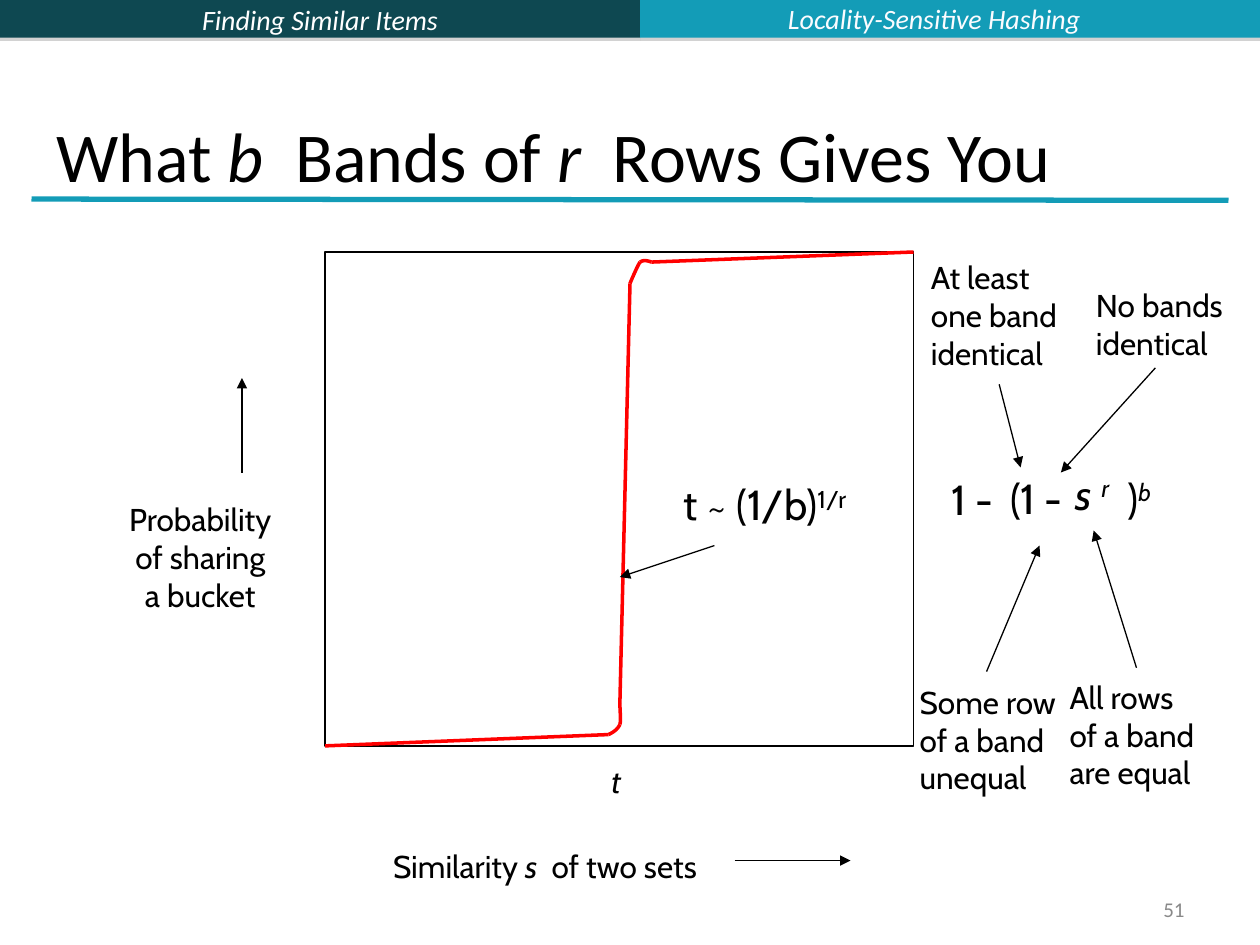
from dataclasses import dataclass

from lxml import etree
from pptx import Presentation
from pptx import util as u
from pptx.dml.color import RGBColor
from pptx.enum import shapes, text
from pptx.oxml.ns import qn

PX = 9144
LEFT, CENTER, RIGHT = text.PP_ALIGN.LEFT, text.PP_ALIGN.CENTER, text.PP_ALIGN.RIGHT
TOP, MIDDLE, BOTTOM = text.MSO_ANCHOR.TOP, text.MSO_ANCHOR.MIDDLE, text.MSO_ANCHOR.BOTTOM


@dataclass(frozen=True)
class Theme:
    ink: str = "000000"
    dark: str = "0E4851"
    accent: str = "139CB7"
    curve: str = "FF0000"
    light: str = "FFFFFF"
    topic: str = "FBFCFF"
    muted: str = "898989"
    shadow: str = "808080"
    heading: str = "Calibri"
    body: str = "Cabin"
    title_size: int = 40
    formula_size: int = 24
    label_size: int = 18
    header_size: int = 16
    number_size: int = 12
    thin: float = 0.75
    bold: float = 2
    rule: float = 3


def add_run(paragraph, content, *, font, size, color, italic=False, raised=False):
    run = paragraph.add_run()
    run.text = content
    run.font.name = font
    run.font.size = u.Pt(size)
    run.font.color.rgb = RGBColor.from_string(color)
    run.font.italic = italic
    if raised:
        run._r.get_or_add_rPr().set("baseline", "30000")


def cubic(start, first, second, end, steps=12):
    for step in range(steps + 1):
        t = step / steps
        weights = ((1 - t) ** 3, 3 * t * (1 - t) ** 2, 3 * t * t * (1 - t), t ** 3)
        yield tuple(
            round(PX * sum(w * c for w, c in zip(weights, axis)))
            for axis in zip(start, first, second, end)
        )


class Board:
    def __init__(self, slide, theme):
        self.slide = slide
        self.theme = theme

    def rect(self, box, fill=None, shadow=False):
        rect = self.slide.shapes.add_shape(
            shapes.MSO_SHAPE.RECTANGLE, *(v * PX for v in box))
        rect.shadow.inherit = False
        if fill:
            rect.fill.solid()
            rect.fill.fore_color.rgb = RGBColor.from_string(fill)
            rect.line.fill.background()
        else:
            rect.fill.background()
            self.stroke(rect, self.theme.ink, self.theme.thin)
        if shadow:
            effects = rect._element.spPr.find(qn("a:effectLst"))
            outer = etree.SubElement(effects, qn("a:outerShdw"), blurRad="0",
                                     dist="22860", dir="5400000", rotWithShape="0")
            tint = etree.SubElement(outer, qn("a:srgbClr"), val=self.theme.shadow)
            etree.SubElement(tint, qn("a:alpha"), val="35000")
        return rect

    def stroke(self, shape, color, width):
        shape.line.color.rgb = RGBColor.from_string(color)
        shape.line.width = u.Pt(width)

    def line(self, start, end, color, width):
        line = self.slide.shapes.add_connector(
            shapes.MSO_CONNECTOR.STRAIGHT, *(v * PX for v in start + end))
        self.stroke(line, color, width)
        etree.SubElement(line._element.spPr, qn("a:effectLst"))
        return line

    def arrow(self, start, end):
        arrow = self.line(start, end, self.theme.ink, self.theme.thin)
        outline = arrow._element.spPr.find(qn("a:ln"))
        etree.SubElement(outline, qn("a:tailEnd"), type="triangle")

    def bend(self, *controls):
        first, *rest = cubic(*controls)
        builder = self.slide.shapes.build_freeform(*first, scale=1.0)
        builder.add_line_segments(rest, close=False)
        bend = builder.convert_to_shape()
        bend.shadow.inherit = False
        bend.fill.background()
        self.stroke(bend, self.theme.curve, self.theme.bold)

    def fill_text(self, shape, lines, align=LEFT, anchor=TOP, wrap=False, **style):
        style = {"font": self.theme.body, "size": self.theme.label_size,
                 "color": self.theme.ink, **style}
        frame = shape.text_frame
        frame.word_wrap = wrap
        frame.vertical_anchor = anchor
        for index, line in enumerate(lines):
            paragraph = frame.add_paragraph() if index else frame.paragraphs[0]
            paragraph.alignment = align
            for content, marks in [(line, {})] if isinstance(line, str) else line:
                add_run(paragraph, content, **{**style, **marks})

    def label(self, box, lines, **style):
        label = self.slide.shapes.add_textbox(*(v * PX for v in box))
        self.fill_text(label, lines, **style)


def main():
    deck = Presentation()
    deck.slide_width, deck.slide_height = 1000 * PX, 750 * PX
    theme = Theme()
    board = Board(deck.slides.add_slide(deck.slide_layouts[6]), theme)
    italic, raised = {"italic": True}, {"raised": True}
    header = dict(font=theme.heading, size=theme.header_size, italic=True,
                  align=CENTER, anchor=MIDDLE, wrap=True)

    course = board.rect((0, 0, 508, 30), theme.dark, shadow=True)
    board.fill_text(course, ["Finding Similar Items"], color=theme.light, **header)
    board.rect((508, 0, 492, 30), theme.accent, shadow=True)
    board.label((483, -4, 517, 37), ["Locality-Sensitive Hashing"],
                color=theme.topic, **header)
    board.line((25, 158), (975, 159), theme.accent, theme.rule)
    board.label((717, 708, 233, 27), ["51"], font=theme.heading, color=theme.muted,
                size=theme.number_size, align=RIGHT, anchor=MIDDLE, wrap=True)
    board.label((35, 36, 937, 125),
                [[("What ", {}), ("b", italic), ("  Bands of ", {}), ("r", italic),
                  ("  Rows Gives You", {})]],
                font=theme.heading, size=theme.title_size, anchor=BOTTOM, wrap=True)

    board.rect((258, 200, 467, 392))
    axis_labels = [
        ((289, 667, 287, 40),
         [[("Similarity ", {}), ("s", italic), ("  of two sets", {})]]),
        ((86, 392, 146, 100), ["Probability", "of sharing", "a bucket"]),
        ((475, 600, 28, 40), [[("t", italic)]]),
    ]
    for box, lines in axis_labels:
        board.label(box, lines, align=CENTER)

    curve_runs = [((258, 592), (483, 583)), ((492, 558), (500, 225)),
                  ((517, 208), (725, 200))]
    for start, end in curve_runs:
        board.line(start, end, theme.curve, theme.bold)
    curve_bends = [
        ((483, 583), (487, 581), (490, 579), (492, 575)),
        ((492, 575), (493, 571), (492, 565), (492, 558)),
        ((500, 225), (503, 218), (506, 211), (508, 208)),
        ((508, 208), (511, 206), (514, 207), (517, 208)),
    ]
    for controls in curve_bends:
        board.bend(*controls)

    formula_parts = [
        ((745, 371, 58, 50), ["1 -"]),
        ((792, 370, 30, 50), ["("]),
        ((800, 370, 58, 50), ["1 -"]),
        ((844, 367, 56, 50), [[("s ", italic), ("r", italic | raised)]]),
        ((885, 370, 46, 50), [[(")", {}), ("b", italic | raised)]]),
        ((533, 375, 171, 50), [[("t ~ (1/b)", {}), ("1/r", raised)]]),
    ]
    for box, lines in formula_parts:
        board.label(box, lines, size=theme.formula_size)

    explanations = [
        ((729, 200, 131, 100), ["At least", "one band", "identical"]),
        ((860, 222, 133, 70), ["No bands", "identical"]),
        ((720, 537, 138, 100), ["Some row", "of a band", "unequal"]),
        ((839, 533, 131, 100), ["All rows", "of a band", "are equal"]),
    ]
    for box, lines in explanations:
        board.label(box, lines)

    arrows = [
        ((583, 683), (675, 683)), ((192, 375), (192, 300)),
        ((793, 305), (810, 371)), ((917, 292), (842, 375)),
        ((783, 533), (825, 433)), ((902, 530), (868, 421)),
        ((567, 433), (492, 458)),
    ]
    for start, end in arrows:
        board.arrow(start, end)

    deck.save("out.pptx")


if __name__ == "__main__":
    main()
